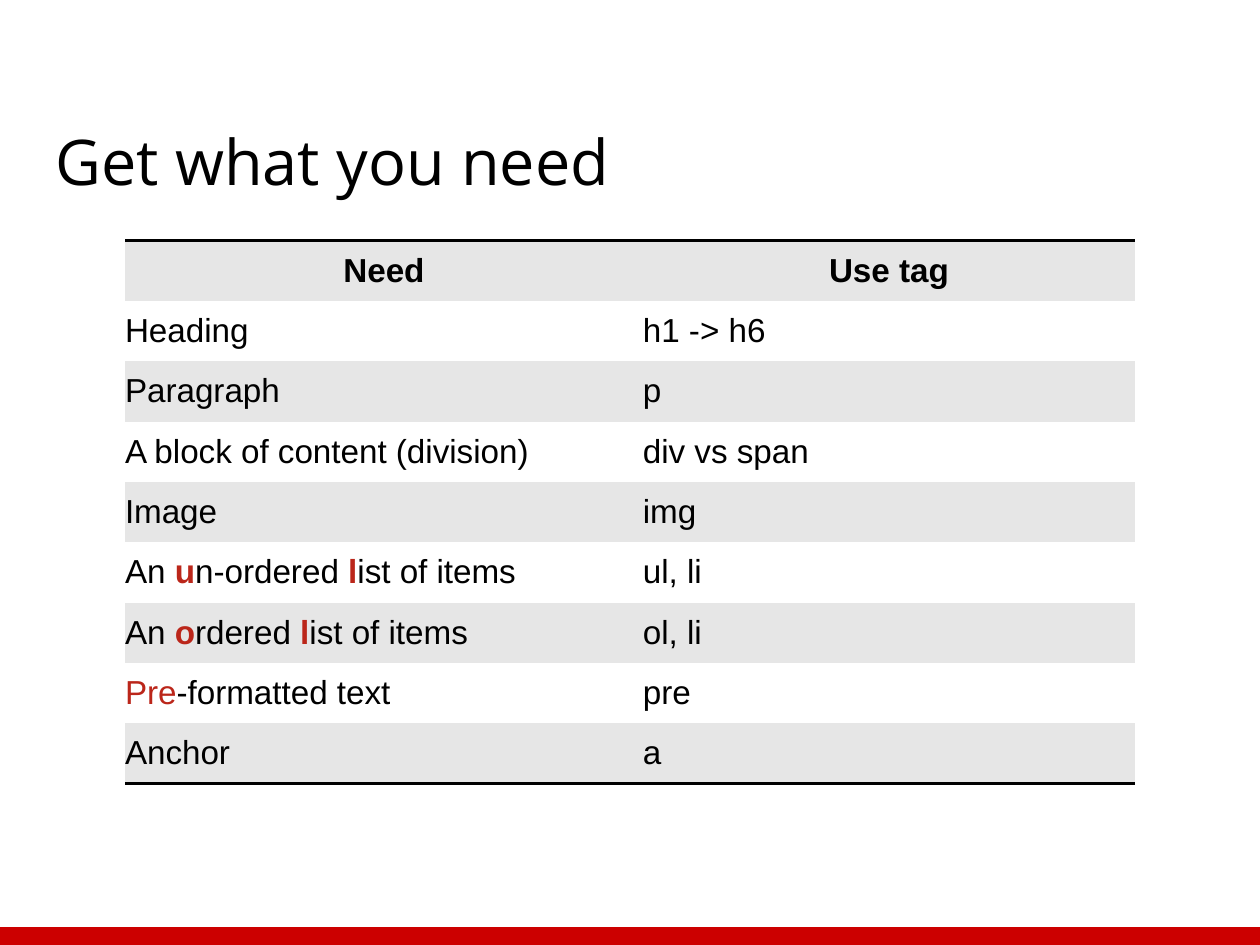
from lxml import etree
from pptx import Presentation
from pptx.dml.color import RGBColor
from pptx.enum.shapes import MSO_SHAPE
from pptx.enum.text import MSO_ANCHOR, MSO_AUTO_SIZE, PP_ALIGN
from pptx.oxml.ns import qn
from pptx.util import Cm, Pt

RECTANGLE = MSO_SHAPE.RECTANGLE
BOTTOM, MIDDLE = MSO_ANCHOR.BOTTOM, MSO_ANCHOR.MIDDLE
LEFT, CENTER = PP_ALIGN.LEFT, PP_ALIGN.CENTER
NO_AUTOFIT = MSO_AUTO_SIZE.NONE

BLACK = RGBColor(0x00, 0x00, 0x00)
WHITE = RGBColor(0xFF, 0xFF, 0xFF)
BAND_GREY = RGBColor(0xE6, 0xE6, 0xE6)
FOOTER_RED = RGBColor(0xCC, 0x00, 0x00)
HINT_RED = RGBColor(0xBB, 0x26, 0x1A)

TITLE_ONLY = 5
PLAIN_TABLE_STYLE = "{2D5ABB26-0587-4C30-8999-92F81FD0307C}"

# Each cell is a list of (text, style); the hints show where a tag name comes from
PLAIN, HINT, BOLD_HINT = "plain", "hint", "bold hint"
TAG_ROWS = [
    ([("Need", PLAIN)], "Use tag"),
    ([("Heading", PLAIN)], "h1 -> h6"),
    ([("Paragraph", PLAIN)], "p"),
    ([("A block of content (division)", PLAIN)], "div vs span"),
    ([("Image", PLAIN)], "img"),
    ([("An ", PLAIN), ("u", BOLD_HINT), ("n-ordered ", PLAIN),
      ("l", BOLD_HINT), ("ist of items", PLAIN)], "ul, li"),
    ([("An ", PLAIN), ("o", BOLD_HINT), ("rdered ", PLAIN),
      ("l", BOLD_HINT), ("ist of items", PLAIN)], "ol, li"),
    ([("Pre", HINT), ("-formatted text", PLAIN)], "pre"),
    ([("Anchor", PLAIN)], "a"),
]


def add_footer_bar(slide, left, top, width, height):
    bar = slide.shapes.add_shape(RECTANGLE, left, top, width, height)
    bar.shadow.inherit = False
    bar.fill.solid()
    bar.fill.fore_color.rgb = FOOTER_RED
    bar.line.fill.background()


def place_title(slide, left, top, width, height):
    title = slide.shapes.title
    title.left, title.top, title.width, title.height = left, top, width, height
    frame = title.text_frame
    frame.text = "Get what you need"
    frame.word_wrap = True
    frame.auto_size = NO_AUTOFIT
    frame.vertical_anchor = BOTTOM
    frame.margin_left = frame.margin_right = Cm(0.25)
    frame.margin_top = frame.margin_bottom = Cm(0.25)
    heading = frame.paragraphs[0]
    heading.alignment = LEFT
    heading.font.name = "Open Sans"
    heading.font.size = Pt(36)
    heading.font.color.rgb = BLACK


def add_rule(cell, edge):
    """Draw a black rule on one edge of a cell: lnT or lnB."""
    properties = cell._tc.get_or_add_tcPr()
    rule = etree.Element(qn(f"a:{edge}"), w=str(Pt(2)))
    fill = etree.SubElement(rule, qn("a:solidFill"))
    etree.SubElement(fill, qn("a:srgbClr"), val=str(BLACK))
    properties.insert(0, rule)


def fill_cell(cell, pieces, is_header, band):
    cell.margin_left = cell.margin_right = 0
    cell.margin_top = cell.margin_bottom = 0
    cell.vertical_anchor = MIDDLE
    cell.fill.solid()
    cell.fill.fore_color.rgb = band
    paragraph = cell.text_frame.paragraphs[0]
    paragraph.alignment = CENTER if is_header else LEFT
    paragraph.font.name = "Arial"
    paragraph.font.size = Pt(19)
    for text, style in pieces:
        run = paragraph.add_run()
        run.text = text
        run.font.name = "Arial"
        run.font.size = Pt(19)
        run.font.bold = is_header or style == BOLD_HINT
        run.font.color.rgb = BLACK if style == PLAIN else HINT_RED


def add_tag_table(slide, left, top, width, height):
    last = len(TAG_ROWS) - 1
    table = slide.shapes.add_table(len(TAG_ROWS), 2, left, top, width, height).table
    table._tbl.tblPr.find(qn("a:tableStyleId")).text = PLAIN_TABLE_STYLE
    need_width = Cm(10.44)
    table.columns[0].width = need_width
    table.columns[1].width = width - need_width

    for index, (need, tag) in enumerate(TAG_ROWS):
        band = WHITE if index % 2 else BAND_GREY
        for column, pieces in enumerate((need, [(tag, PLAIN)])):
            cell = table.cell(index, column)
            fill_cell(cell, pieces, index == 0, band)
            if index == 0:
                add_rule(cell, "lnT")
            elif index == last:
                add_rule(cell, "lnB")


def main():
    deck = Presentation()
    deck.slide_width, deck.slide_height = Cm(25.4), Cm(19.05)
    slide = deck.slides.add_slide(deck.slide_layouts[TITLE_ONLY])

    bar_height = Cm(0.36)
    add_footer_bar(slide, 0, deck.slide_height - bar_height, deck.slide_width, bar_height)
    place_title(slide, Cm(0.87), Cm(1.17), Cm(23.67), Cm(3.07))
    add_tag_table(slide, Cm(2.52), Cm(4.85), Cm(20.36), Cm(10.95))
    deck.save("out.pptx")


if __name__ == "__main__":
    main()
